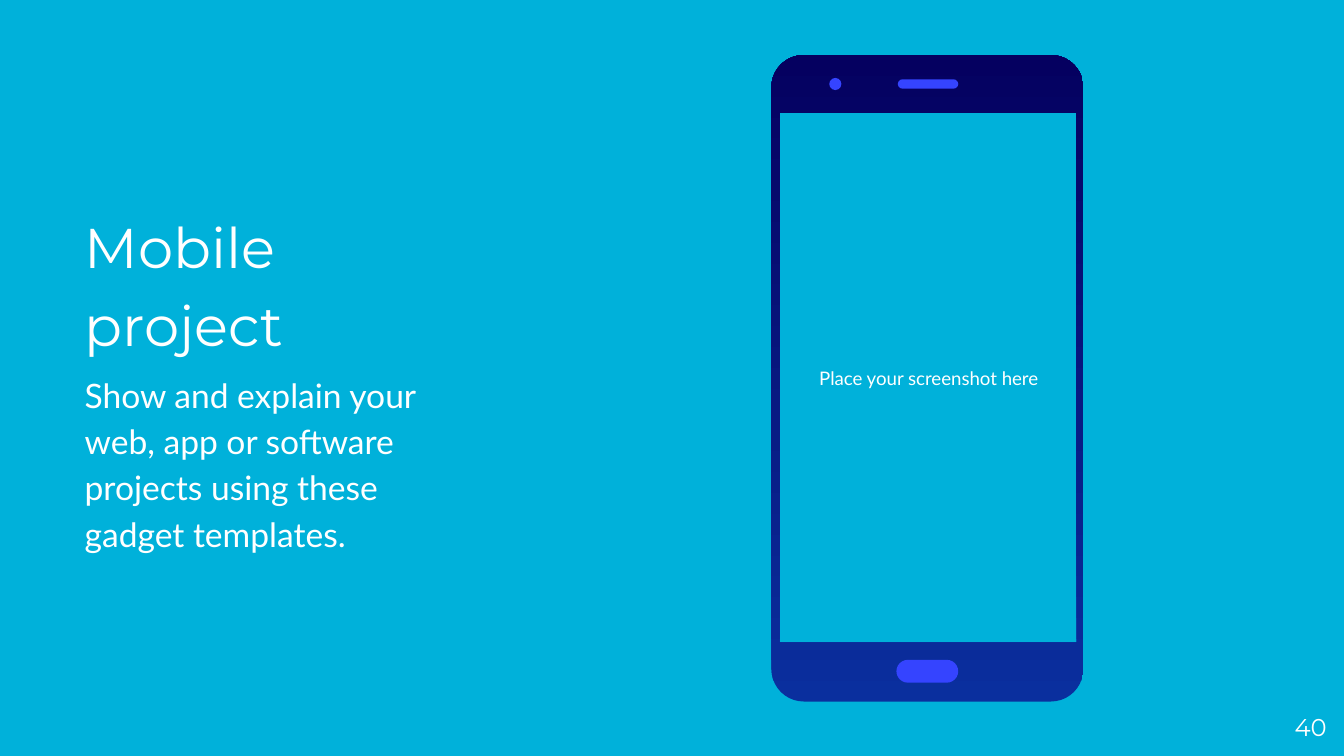
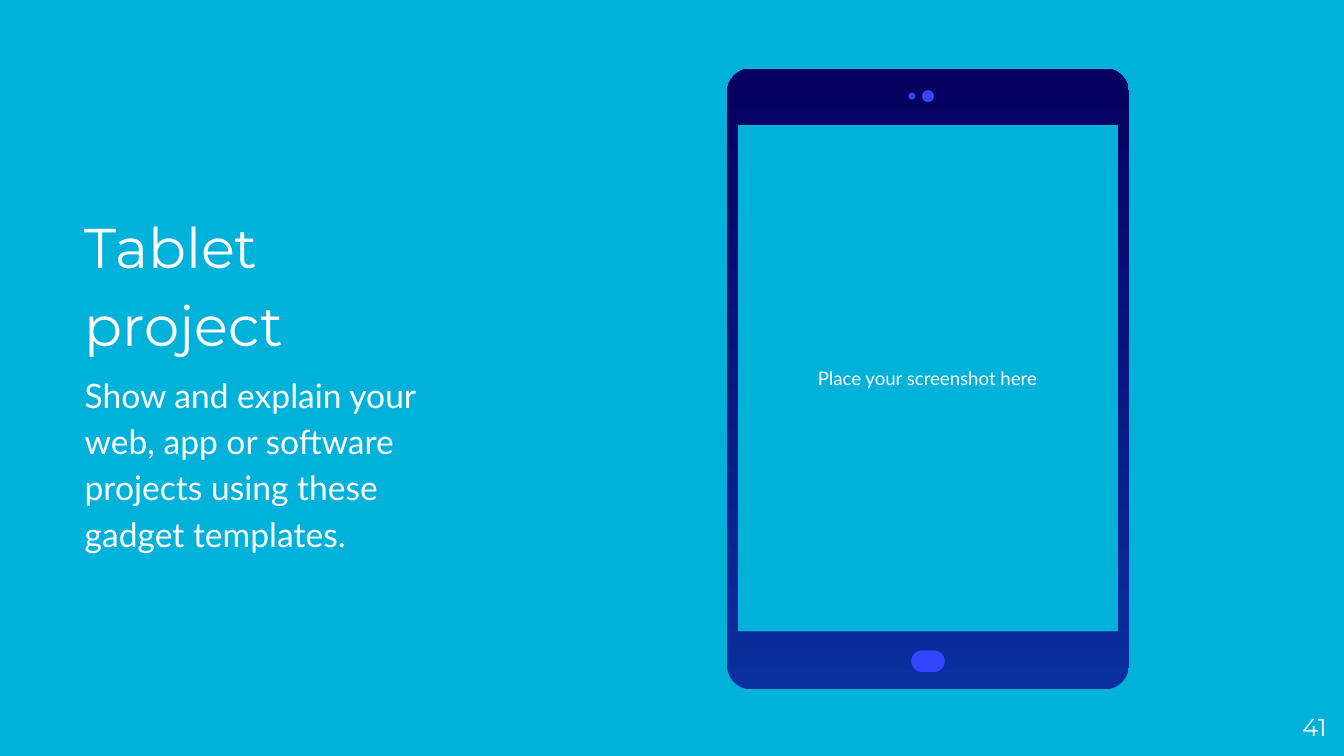
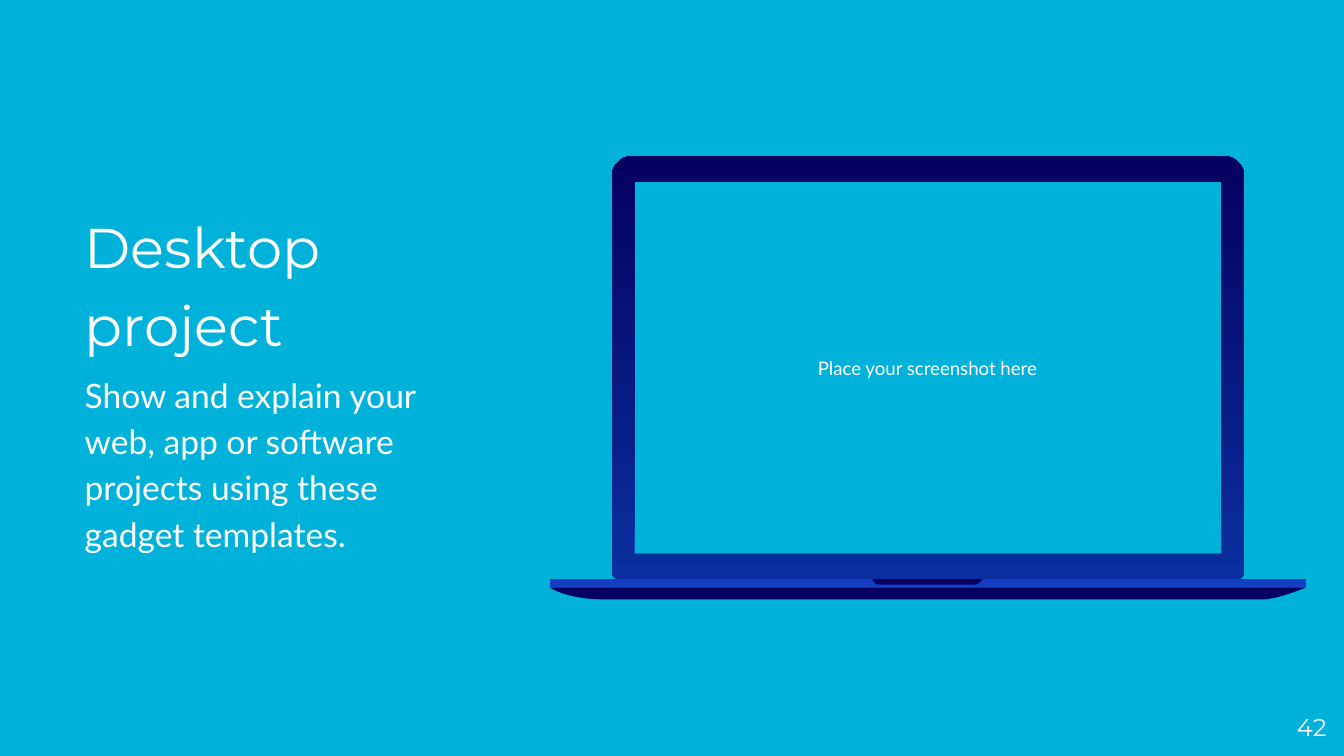
import math
from dataclasses import dataclass, field
from typing import NamedTuple

from pptx import Presentation
from pptx import util as u
from pptx.dml.color import RGBColor
from pptx.enum import shapes, text

COLORS = {
    "background": "00B1DA",
    "text": "FFFFFF",
    "frame_bottom": "0A2F9E",
    "frame_top": "050060",
    "detail": "3544FF",
    "hinge": "143FC2",
}
TITLE_FONT, BODY_FONT = "Montserrat", "Lato"
PITCH = "Show and explain your web, app or software projects using these gadget templates."
SCREEN_HINT = "Place your screenshot here"
SLIDE_WIDTH = u.Inches(10)
SLIDE_HEIGHT = SLIDE_WIDTH * 9 // 16
CURVE_STEPS = 10
PILL = shapes.MSO_SHAPE.ROUNDED_RECTANGLE
DOT = shapes.MSO_SHAPE.OVAL

Point = tuple[float, float]


class Box(NamedTuple):
    left: float
    top: float
    width: float
    height: float

    @property
    def right(self) -> float:
        return self.left + self.width

    @property
    def bottom(self) -> float:
        return self.top + self.height

    def lengths(self) -> list[u.Length]:
        return [u.Inches(value) for value in self]


class Detail(NamedTuple):
    kind: shapes.MSO_SHAPE
    box: Box


class Panel(NamedTuple):
    points: list[Point]
    color: str


@dataclass
class Device:
    title: str
    page_number: int
    frame: Box
    screen: Box
    hint: Box
    top_radius: float
    bottom_radius: float
    details: list[Detail] = field(default_factory=list)
    panels: list[Panel] = field(default_factory=list)


def bezier(start: Point, pull_a: Point, pull_b: Point, end: Point) -> list[Point]:
    """Points along a cubic curve, both ends included."""
    corners = (start, pull_a, pull_b, end)
    points = []
    for step in range(CURVE_STEPS + 1):
        t = step / CURVE_STEPS
        weights = ((1 - t) ** 3, 3 * t * (1 - t) ** 2, 3 * t**2 * (1 - t), t**3)
        points.append((
            sum(w * x for w, (x, _) in zip(weights, corners)),
            sum(w * y for w, (_, y) in zip(weights, corners)),
        ))
    return points


def rounded_outline(box: Box, top_radius: float, bottom_radius: float) -> list[Point]:
    """Clockwise outline from the top left corner."""
    top, low = top_radius, bottom_radius
    arcs = [
        (box.left + top, box.top + top, top),
        (box.right - top, box.top + top, top),
        (box.right - low, box.bottom - low, low),
        (box.left + low, box.bottom - low, low),
    ]
    points = []
    for quarter, (x, y, radius) in enumerate(arcs):
        for step in range(CURVE_STEPS + 1):
            angle = math.pi + (quarter + step / CURVE_STEPS) * math.pi / 2
            points.append((x + radius * math.cos(angle), y + radius * math.sin(angle)))
    return points


def rgb(name: str) -> RGBColor:
    return RGBColor.from_string(COLORS[name])


def clear_effects(shape) -> None:
    shape.shadow.inherit = False
    shape.line.fill.background()


def fill_solid(shape, color: str) -> None:
    clear_effects(shape)
    shape.fill.solid()
    shape.fill.fore_color.rgb = rgb(color)


def add_outline(page, contours: list[list[Point]]):
    builder = None
    for contour in contours:
        first, *others = [(u.Inches(x), u.Inches(y)) for x, y in contour]
        if builder is None:
            builder = page.shapes.build_freeform(*first)
        else:
            builder.move_to(*first)
        builder.add_line_segments(others, close=True)
    return builder.convert_to_shape()


def add_text_box(page, box: Box, inset: float = 0):
    frame = page.shapes.add_textbox(*box.lengths()).text_frame
    frame.word_wrap = True
    frame.vertical_anchor = text.MSO_ANCHOR.MIDDLE
    frame.margin_left = frame.margin_right = u.Inches(inset)
    frame.margin_top = frame.margin_bottom = u.Inches(inset)
    return frame


def write(para, wording: str, font: str, size: float, align=text.PP_ALIGN.LEFT) -> None:
    para.text = wording
    para.alignment = align
    for span in para.runs:
        span.font.name = font
        span.font.size = u.Pt(size)
        span.font.color.rgb = rgb("text")


def add_wording(page, device: Device) -> None:
    body = add_text_box(page, Box(0.63, 0.86, 2.78, 3.91))
    write(body.paragraphs[0], device.title, TITLE_FONT, 30)
    write(body.add_paragraph(), PITCH, BODY_FONT, 18)
    for para in body.paragraphs:
        para.line_spacing = 1.15
        para.space_before = u.Pt(6)

    hint = add_text_box(page, device.hint, inset=0.1)
    write(hint.paragraphs[0], SCREEN_HINT, BODY_FONT, 10, text.PP_ALIGN.CENTER)

    number = add_text_box(page, Box(9.27, 5.19, 0.6, 0.43))
    write(number.paragraphs[0], str(device.page_number), TITLE_FONT, 13, text.PP_ALIGN.RIGHT)


def add_device(page, device: Device) -> None:
    screen = device.screen
    # The screen runs anticlockwise, so it stays open inside the frame.
    opening = [
        (screen.left, screen.top), (screen.left, screen.bottom),
        (screen.right, screen.bottom), (screen.right, screen.top),
    ]
    outline = rounded_outline(device.frame, device.top_radius, device.bottom_radius)
    frame = add_outline(page, [outline, opening])
    clear_effects(frame)
    frame.fill.gradient()
    frame.fill.gradient_angle = 90
    for stop, color in zip(frame.fill.gradient_stops, ("frame_bottom", "frame_top")):
        stop.color.rgb = rgb(color)

    for panel in device.panels:
        fill_solid(add_outline(page, [panel.points]), panel.color)
    for detail in device.details:
        shape = page.shapes.add_shape(detail.kind, *detail.box.lengths())
        if detail.kind == PILL:
            shape.adjustments[0] = 0.5
        fill_solid(shape, "detail")


LAPTOP_BASE = [
    *bezier((4.09, 4.37), (4.09, 4.37), (4.21, 4.46), (4.5, 4.46)),
    *bezier((9.39, 4.46), (9.51, 4.46), (9.72, 4.37), (9.72, 4.37)),
]
LAPTOP_NOTCH = [
    *bezier((6.49, 4.31), (6.49, 4.31), (6.51, 4.35), (6.53, 4.35)),
    *bezier((7.26, 4.35), (7.28, 4.35), (7.31, 4.31), (7.31, 4.31)),
]
LAPTOP_HINGE = [(4.09, 4.37), (9.72, 4.37), (9.72, 4.31), (4.09, 4.31)]

DEVICES = [
    Device(
        "Mobile project", 40,
        frame=Box(5.74, 0.41, 2.32, 4.81),
        screen=Box(5.8, 0.84, 2.21, 3.94),
        hint=Box(5.81, 0.86, 2.2, 3.91),
        top_radius=0.24, bottom_radius=0.24,
        details=[
            Detail(PILL, Box(6.67, 4.91, 0.46, 0.17)),
            Detail(DOT, Box(6.17, 0.58, 0.09, 0.09)),
            Detail(PILL, Box(6.68, 0.59, 0.45, 0.07)),
        ],
    ),
    Device(
        "Tablet\nproject", 41,
        frame=Box(5.41, 0.51, 2.99, 4.62),
        screen=Box(5.49, 0.93, 2.83, 3.77),
        hint=Box(5.48, 0.93, 2.84, 3.76),
        top_radius=0.18, bottom_radius=0.18,
        details=[
            Detail(PILL, Box(6.78, 4.84, 0.25, 0.16)),
            Detail(DOT, Box(6.76, 0.69, 0.05, 0.05)),
            Detail(DOT, Box(6.86, 0.67, 0.09, 0.09)),
        ],
    ),
    Device(
        "Desktop project", 42,
        frame=Box(4.55, 1.16, 4.71, 3.15),
        screen=Box(4.72, 1.35, 4.37, 2.77),
        hint=Box(4.71, 1.34, 4.38, 2.79),
        top_radius=0.16, bottom_radius=0.05,
        panels=[
            Panel(LAPTOP_BASE, "frame_top"),
            Panel(LAPTOP_HINGE, "hinge"),
            Panel(LAPTOP_NOTCH, "frame_top"),
        ],
    ),
]


def main() -> None:
    deck = Presentation()
    deck.slide_width, deck.slide_height = SLIDE_WIDTH, SLIDE_HEIGHT
    backdrop = deck.slide_master.background.fill
    backdrop.solid()
    backdrop.fore_color.rgb = rgb("background")
    blank = deck.slide_layouts[6]
    for device in DEVICES:
        page = deck.slides.add_slide(blank)
        add_wording(page, device)
        add_device(page, device)
    deck.save("out.pptx")


if __name__ == "__main__":
    main()
